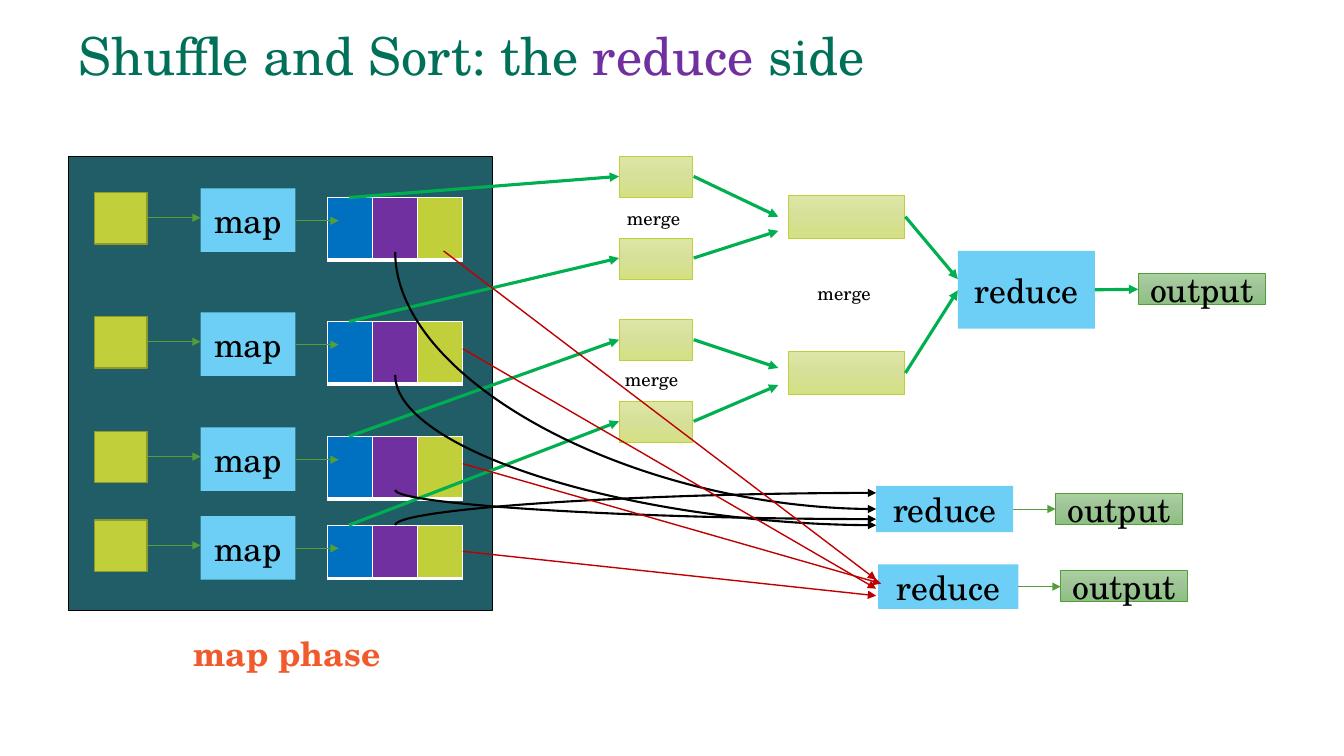
from copy import deepcopy
from pptx import Presentation
from pptx.dml.color import RGBColor
from pptx.enum.shapes import MSO_CONNECTOR, MSO_SHAPE
from pptx.enum.text import MSO_ANCHOR, PP_ALIGN
from pptx.oxml.ns import qn
from pptx.oxml.xmlchemy import OxmlElement
from pptx.util import Inches, Pt

FONT = "TeX Gyre Schola"
COLORS = {
    "panel": "215D66", "black": "000000", "white": "FFFFFF", "title": "017058",
    "purple": "7030A0", "blue": "0070C0", "lime": "C0CF3A", "olive": "8E992B",
    "sky": "6DCFF6", "orange": "F15A2D", "leaf": "549E39", "green": "00B050",
    "red": "C00000",
}
LIME_FADE = ["DDE6A6", "D7E098", "D4E084"]
LEAF_FADE = ["AACFA2", "9EC496", "8DBF82"]
TITLE = [("Shuffle and Sort: the ", "title"), ("reduce", "purple"), (" side", "title")]
PARTITIONS = ["blue", "purple", "lime"]
MAPS = [(1.87, 0.62), (3.1, 0.62), (4.24, 0.62), (5.12, 0.53)]
MERGE_TOP, MERGE_STEP = 1.55, 0.81
MERGE_ENDS = [2.15, 2.29, 3.65, 3.82]
MERGED = [(1.94, 2.77), (3.49, 2.88)]
REDUCERS = [
    ((9.5, 2.49, 1.36, 0.77), (11.29, 2.71), "green", 2.25),
    ((8.69, 4.82, 1.36, 0.46), (10.47, 4.89), "leaf", 0.5),
    ((8.71, 5.6, 1.39, 0.44), (10.52, 5.66), "leaf", 0.5),
]
LABELS = [(6.12, 2), (6.1, 3.6), (8.01, 2.75)]
CURVES = [(2.5, 5.05), (3.72, 5.21), (5.21, 4.89), (4.86, 5.15)]
RED_ARROWS = [
    (4.4, 2.49, 8.69, 5.75), (4.59, 3.46, 8.69, 5.84),
    (4.59, 4.6, 8.74, 5.79), (4.59, 5.47, 8.69, 5.91),
]


def rgb(name):
    return RGBColor.from_string(COLORS.get(name, name))


def write(tf, runs, size, bold=False):
    p = tf.paragraphs[0]
    for text, color in runs:
        r = p.add_run()
        r.text = text
        for key, value in {"name": FONT, "size": Pt(size), "bold": bold}.items():
            setattr(r.font, key, value)
        r.font.color.rgb = rgb(color)
    return p


def fade(fill, stops):
    fill.gradient()
    fill.gradient_angle = 270
    first = fill.gradient_stops[0]._gs
    first.addnext(deepcopy(first))
    for i, (stop, color) in enumerate(zip(fill.gradient_stops, stops)):
        stop.position = i / 2
        stop.color.rgb = rgb(color)


def box(s, at, fill, line=None, width=0.5, text=None):
    sp = s.shapes.add_shape(MSO_SHAPE.RECTANGLE, *map(Inches, at))
    sp.shadow.inherit = False
    if isinstance(fill, list):
        fade(sp.fill, fill)
    else:
        sp.fill.solid()
        sp.fill.fore_color.rgb = rgb(fill)
    if line:
        sp.line.color.rgb = rgb(line)
        sp.line.width = Pt(width)
    else:
        sp.line.fill.background()
    if text:
        sp.text_frame.vertical_anchor = MSO_ANCHOR.MIDDLE
        write(sp.text_frame, [(text, "black")], 24).alignment = PP_ALIGN.CENTER


def label(s, at, runs, size, bold=False, wrap=False):
    tf = s.shapes.add_textbox(*map(Inches, at)).text_frame
    tf.word_wrap = wrap
    tf.vertical_anchor = MSO_ANCHOR.MIDDLE if wrap else MSO_ANCHOR.TOP
    return write(tf, runs, size, bold)


def arrow(s, ends, color, width, kind=MSO_CONNECTOR.STRAIGHT):
    c = s.shapes.add_connector(kind, *map(Inches, ends))
    c.line.color.rgb = rgb(color)
    c.line.width = Pt(width)
    tail = OxmlElement("a:tailEnd")
    tail.set("type", "triangle")
    c.line._get_or_add_ln().append(tail)
    c._element.spPr.append(OxmlElement("a:effectLst"))
    return c


def curve(s, x1, y1, x2, y2):
    w, h = abs(y2 - y1), x2 - x1
    left, top = (x1 + x2 - w) / 2, (y1 + y2 - h) / 2
    c = arrow(s, (left, top, left + w, top + h), "black", 1.5, MSO_CONNECTOR.CURVE)
    spPr = c._element.spPr
    spPr.find(qn("a:prstGeom")).set("prst", "curvedConnector2")
    turn = {"rot": "16200000", "flipH": "1"}
    if y2 < y1:
        turn = {"rot": "5400000", "flipH": "1", "flipV": "1"}
    for key, value in turn.items():
        spPr.find(qn("a:xfrm")).set(key, value)


def border(cell):
    tcPr = cell._tc.get_or_add_tcPr()
    for i, (side, width) in enumerate({"L": 1, "R": 1, "T": 1, "B": 3}.items()):
        ln = OxmlElement(f"a:ln{side}")
        ln.set("w", str(Pt(width)))
        fill, color = OxmlElement("a:solidFill"), OxmlElement("a:srgbClr")
        color.set("val", COLORS["white"])
        fill.append(color)
        ln.append(fill)
        tcPr.insert(i, ln)


def partitions(s, top, height):
    at = map(Inches, (3.25, top, 1.34, height))
    table = s.shapes.add_table(1, len(PARTITIONS), *at).table
    table.first_row = table.horz_banding = False
    for cell, color in zip(table.iter_cells(), PARTITIONS):
        cell.fill.solid()
        cell.fill.fore_color.rgb = rgb(color)
        border(cell)


def main():
    """Build the shuffle and sort slide."""
    prs = Presentation()
    prs.slide_width, prs.slide_height = Inches(13.33), Inches(7.5)
    s = prs.slides.add_slide(prs.slide_layouts[6])
    box(s, (0.68, 1.55, 4.2, 4.51), "panel", "black")
    label(s, (0.68, 0.18, 11.5, 0.8), TITLE, 37.3, wrap=True).line_spacing = 0.9
    label(s, (1.82, 6.23, 2.07, 0.5), [("map phase", "orange")], 24, True)

    for i, (top, height) in enumerate(MAPS):
        box(s, (0.94, top + 0.04, 0.52, 0.51), "lime", "olive", 1)
        arrow(s, (1.47, top + 0.29, 1.99, top + 0.29), "leaf", 0.5)
        box(s, (1.99, top, 0.94, 0.63), "sky", text="map")
        partitions(s, top + 0.09, height)
        arrow(s, (2.94, top + 0.32, 3.36, top + 0.32), "leaf", 0.5)
        merge = MERGE_TOP + i * MERGE_STEP
        box(s, (6.14, merge, 0.73, 0.41), LIME_FADE, "lime")
        arrow(s, (3.46, top + 0.09, 6.14, merge + 0.2), "green", 2.25)
        arrow(s, (6.88, merge + 0.2, 7.72, MERGE_ENDS[i]), "green", 2.25)

    for top, end in MERGED:
        box(s, (7.82, top, 1.15, 0.42), LIME_FADE, "lime")
        arrow(s, (8.98, top + 0.21, 9.5, end), "green", 2.25)
    for x, y in LABELS:
        label(s, (x, y, 0.74, 0.33), [("merge", "black")], 13.3)

    for at, (x, y), color, width in REDUCERS:
        box(s, at, "sky", text="reduce")
        box(s, (x, y, 1.26, 0.31), LEAF_FADE, "leaf", text="output")
        left, top, w, h = at
        arrow(s, (left + w, top + h / 2, x, y + 0.16), color, width)

    for start, end in CURVES:
        curve(s, 3.92, start, 8.69, end)
    for ends in RED_ARROWS:
        arrow(s, ends, "red", 1)
    prs.save("out.pptx")


if __name__ == "__main__":
    main()
